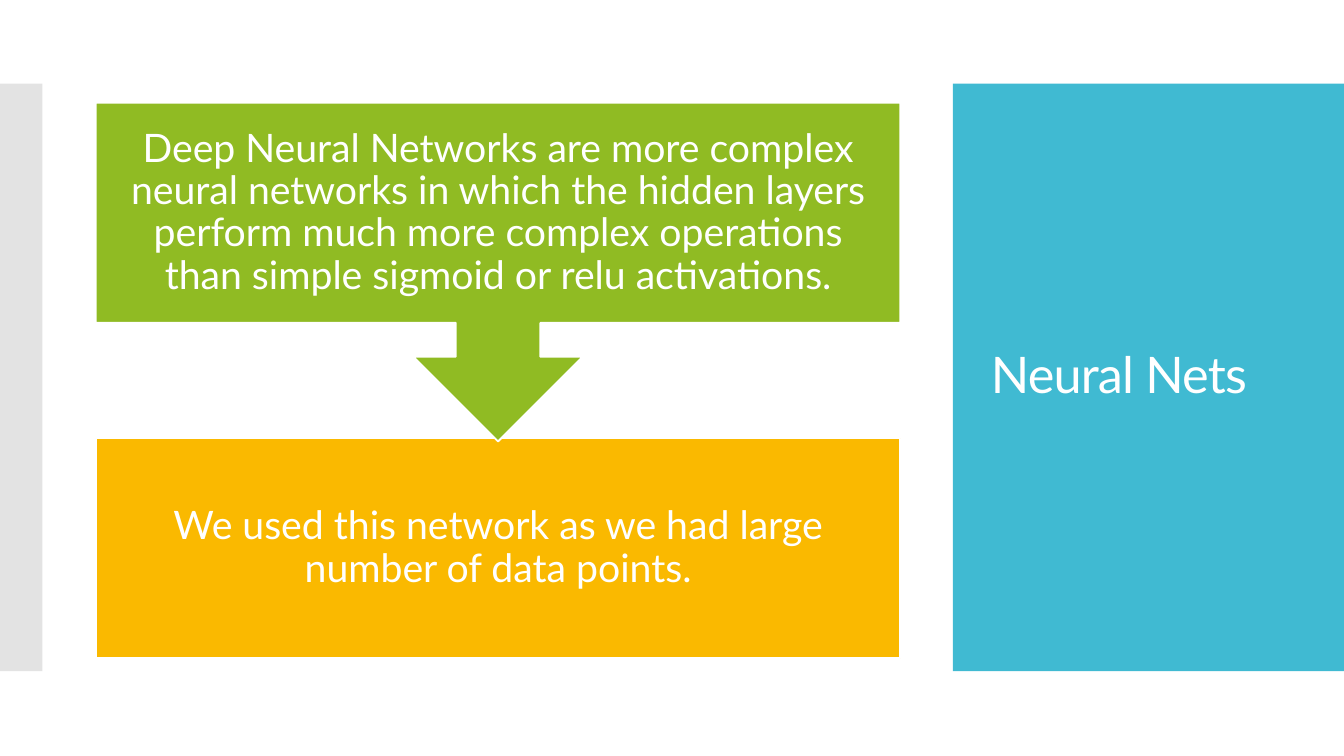
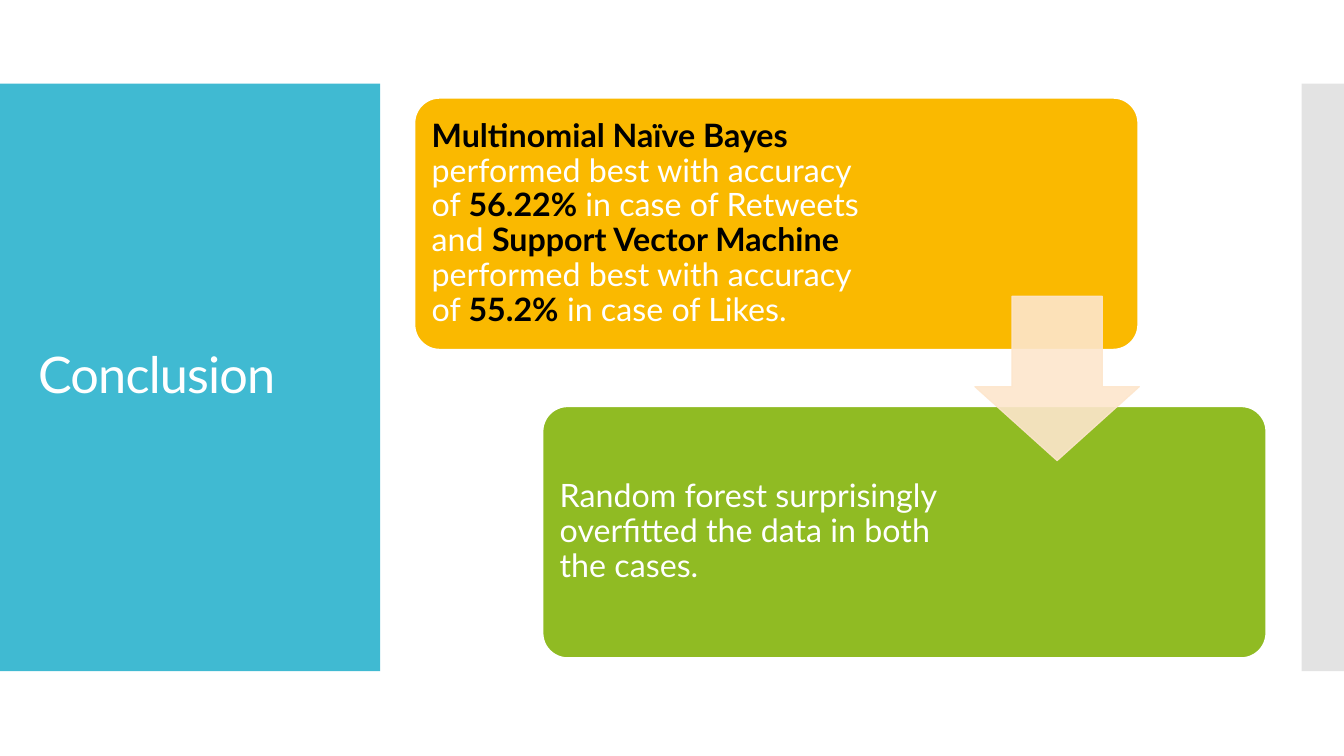
from dataclasses import dataclass

from lxml.etree import SubElement
from pptx import Presentation
from pptx.dml.color import RGBColor
from pptx.enum.shapes import MSO_SHAPE
from pptx.enum.text import MSO_ANCHOR, PP_ALIGN
from pptx.oxml.ns import qn
from pptx.util import Inches, Pt


@dataclass(frozen=True)
class Theme:
    font: str = "Lato"
    title_size: float = 36
    callout_size: float = 28
    card_size: float = 23
    teal: str = "40BAD2"
    grey: str = "C8C8C8"
    amber: str = "FAB900"
    green: str = "90BB23"
    peach: str = "FDE6CC"
    white: str = "FFFFFF"
    black: str = "000000"


THEME = Theme()
PAGE_WIDTH, PAGE_HEIGHT = 13.33, 7.5
BAND_TOP, BAND_HEIGHT = 0.83, 5.83
STRIP_WIDTH = 0.42


def write_text(shape, text, *, size, align=PP_ALIGN.LEFT, margins=(0.1, 0.1, 0.1, 0.1),
               tracking=None):
    """Fill a shape with one paragraph; text is a string or (words, strong) pairs."""
    frame = shape.text_frame
    frame.word_wrap = True
    frame.vertical_anchor = MSO_ANCHOR.MIDDLE
    (frame.margin_left, frame.margin_top,
     frame.margin_right, frame.margin_bottom) = map(Inches, margins)
    para = frame.paragraphs[0]
    para.alignment = align
    para.line_spacing = 0.9
    for words, strong in [(text, False)] if isinstance(text, str) else text:
        span = para.add_run()
        span.text = words
        span.font.name = THEME.font
        span.font.size = Pt(size)
        span.font.bold = strong
        span.font.color.rgb = RGBColor.from_string(THEME.black if strong else THEME.white)
        if tracking is not None:
            span.font._element.set("spc", str(round(tracking * 100)))


class Deck:
    def __init__(self, theme):
        self.theme = theme
        self.presentation = Presentation()
        self.presentation.slide_width = Inches(PAGE_WIDTH)
        self.presentation.slide_height = Inches(PAGE_HEIGHT)
        self.page = None

    def add_page(self, title, *, band_left, band_width, strip_left):
        """Start a page with its title band and the grey strip on the other edge."""
        self.page = self.presentation.slides.add_slide(self.presentation.slide_layouts[6])
        self.shape(MSO_SHAPE.RECTANGLE, band_left, BAND_TOP, band_width, BAND_HEIGHT,
                   self.theme.teal)
        self.shape(MSO_SHAPE.RECTANGLE, strip_left, BAND_TOP, STRIP_WIDTH, BAND_HEIGHT,
                   self.theme.grey, opacity=50)
        box = self.page.shapes.add_textbox(
            *map(Inches, (band_left + 0.28, 1.23, 3.22, 5.03)))
        write_text(box, title, size=self.theme.title_size, tracking=-0.6)

    def shape(self, kind, left, top, width, height, fill, *, line=None, line_width=1.35,
              opacity=100, adjustments=()):
        shape = self.page.shapes.add_shape(kind, *map(Inches, (left, top, width, height)))
        shape.shadow.inherit = False
        shape.fill.solid()
        shape.fill.fore_color.rgb = RGBColor.from_string(fill)
        if line:
            shape.line.color.rgb = RGBColor.from_string(line)
            shape.line.width = Pt(line_width)
        else:
            shape.line.fill.background()
        for index, value in enumerate(adjustments):
            shape.adjustments[index] = value
        # Transparency applies to fill and outline alike
        if opacity < 100:
            for color in list(shape.element.spPr.iter(qn("a:srgbClr"))):
                SubElement(color, qn("a:alpha"), val=str(opacity * 1000))
        return shape

    def step(self, kind, top, height, fill, text):
        """A full-width process step with centred text."""
        box = self.shape(kind, 0.95, top, 7.98, height, fill, line=self.theme.white)
        write_text(box, text, size=self.theme.callout_size, align=PP_ALIGN.CENTER,
                   margins=(0.22,) * 4)

    def card(self, left, top, fill, text, right_margin):
        """A rounded card whose text leaves room for the arrow on the right."""
        box = self.shape(MSO_SHAPE.ROUNDED_RECTANGLE, left, top, 7.18, 2.5, fill,
                         line=self.theme.white, adjustments=(0.1,))
        write_text(box, text, size=self.theme.card_size,
                   margins=(0.1, 0.1, right_margin, 0.1))

    def arrow(self, left, top, size):
        self.shape(MSO_SHAPE.DOWN_ARROW, left, top, size, size, self.theme.peach,
                   line=self.theme.peach, line_width=0.85, opacity=90,
                   adjustments=(0.55, 0.45))


def neural_nets(deck):
    deck.add_page("Neural Nets", band_left=9.45, band_width=3.88, strip_left=0)
    # The callout comes last so that its tip lies over the lower step
    deck.step(MSO_SHAPE.RECTANGLE, 4.35, 2.18, THEME.amber,
              "We used this network as we had large number of data points.")
    deck.step(MSO_SHAPE.DOWN_ARROW_CALLOUT, 1.02, 3.36, THEME.green,
              "Deep Neural Networks are more complex neural networks in which the hidden "
              "layers perform much more complex operations than simple sigmoid or relu "
              "activations.")


def conclusion(deck):
    deck.add_page("Conclusion", band_left=0, band_width=3.77,
                  strip_left=PAGE_WIDTH - STRIP_WIDTH)
    # Staggered cards joined by an arrow
    best_models = [
        ("Multinomial Naïve Bayes", True),
        (" performed best with accuracy of ", False),
        ("56.22% ", True),
        ("in case of Retweets and ", False),
        ("Support Vector Machine", True),
        (" performed best with accuracy of ", False),
        ("55.2%", True),
        (" in case of Likes.", False),
    ]
    deck.card(4.11, 0.97, THEME.amber, best_models, right_margin=2.53)
    deck.card(5.38, 4.03, THEME.green,
              "Random forest surprisingly overfitted the data in both the cases.",
              right_margin=3)
    deck.arrow(9.67, 2.94, 1.63)


def main():
    deck = Deck(THEME)
    neural_nets(deck)
    conclusion(deck)
    deck.presentation.save("out.pptx")


if __name__ == "__main__":
    main()
